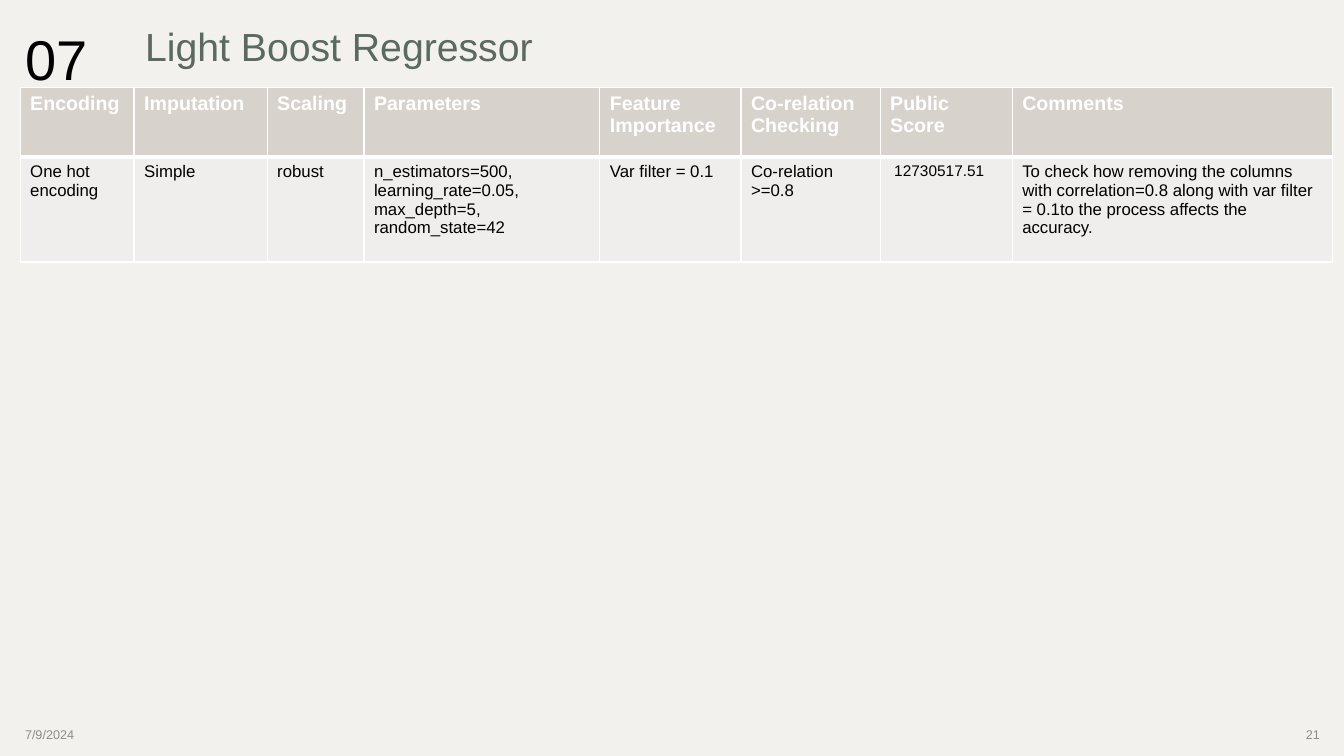
from dataclasses import dataclass

from lxml import etree
from pptx import Presentation
from pptx import util as u
from pptx.dml.color import RGBColor
from pptx.enum import text
from pptx.oxml.ns import qn


@dataclass(frozen=True)
class Theme:
    font: str = "Arial"
    background: str = "F2F1EE"
    title: str = "5B6A5E"
    ink: str = "000000"
    muted: str = "8C8C8C"
    white: str = "FFFFFF"
    header_fill: str = "D8D2CD"
    body_fill: str = "F0EEED"
    number_size: float = 40
    title_size: float = 28
    header_size: float = 14
    body_size: float = 12
    score_size: float = 11
    footer_size: float = 9


class SlideBuilder:
    def __init__(self, presentation, theme):
        self.theme = theme
        self.slide = presentation.slides.add_slide(presentation.slide_layouts[6])
        fill = self.slide.background.fill
        fill.solid()
        fill.fore_color.rgb = RGBColor.from_string(theme.background)

    def style(self, paragraph, size, color, bold=False):
        font = paragraph.font
        font.name = self.theme.font
        font.size = u.Pt(size)
        font.bold = bold
        font.color.rgb = RGBColor.from_string(color)

    def text_box(self, box, words, size, color, align=text.PP_ALIGN.LEFT,
                 anchor=text.MSO_ANCHOR.MIDDLE, spacing=1.0, before=0, margin_left=0.1):
        frame = self.slide.shapes.add_textbox(*map(u.Inches, box)).text_frame
        frame.word_wrap = True
        frame.vertical_anchor = anchor
        frame.margin_left = u.Inches(margin_left)
        paragraph = frame.paragraphs[0]
        paragraph.text = words
        paragraph.alignment = align
        paragraph.line_spacing = spacing
        paragraph.space_before = u.Pt(before)
        self.style(paragraph, size, color)

    def borders(self, cell, top, bottom):
        properties = cell._tc.get_or_add_tcPr()
        widths = {"a:lnL": 1, "a:lnR": 1, "a:lnT": top, "a:lnB": bottom}
        for position, (tag, width) in enumerate(widths.items()):
            line = etree.Element(qn(tag), w=str(u.Pt(width)))
            fill = etree.SubElement(line, qn("a:solidFill"))
            etree.SubElement(fill, qn("a:srgbClr"), val=self.theme.white)
            properties.insert(position, line)

    def cell(self, cell, words, size, color, fill, bold, top, bottom):
        cell.text = words
        self.style(cell.text_frame.paragraphs[0], size, color, bold)
        cell.fill.solid()
        cell.fill.fore_color.rgb = RGBColor.from_string(fill)
        self.borders(cell, top, bottom)

    def table(self, left, top, widths, heights, header, body):
        theme = self.theme
        box = (left, top, sum(widths), sum(heights))
        table = self.slide.shapes.add_table(2, len(widths), *map(u.Inches, box)).table
        for row, height in zip(table.rows, heights):
            row.height = u.Inches(height)
        for index, width in enumerate(widths):
            table.columns[index].width = u.Inches(width)
            self.cell(table.cell(0, index), header[index], theme.header_size,
                      theme.white, theme.header_fill, True, 1, 3)
            self.cell(table.cell(1, index), body[index], theme.body_size,
                      theme.ink, theme.body_fill, False, 3, 1)
        return table


def main():
    presentation = Presentation()
    presentation.slide_width = u.Inches(13.33)
    presentation.slide_height = u.Inches(7.5)
    theme = Theme()
    builder = SlideBuilder(presentation, theme)

    builder.text_box((0.15, 7.09, 3, 0.4), "7/9/2024", theme.footer_size, theme.muted)
    builder.text_box((10.19, 7.09, 3, 0.4), "21", theme.footer_size, theme.muted,
                     align=text.PP_ALIGN.RIGHT)
    builder.text_box((-0.63, 0.12, 7.67, 0.72), "Light Boost Regressor", theme.title_size,
                     theme.title, align=text.PP_ALIGN.CENTER, spacing=0.9, margin_left=0.41)
    builder.text_box((0.15, -0.14, 1.02, 0.91), "07", theme.number_size, theme.ink,
                     anchor=text.MSO_ANCHOR.TOP, spacing=1.5, before=10)

    columns = [
        ("Encoding", 1.13, "One hot encoding"),
        ("Imputation", 1.32, "Simple"),
        ("Scaling", 0.96, "robust"),
        ("Parameters", 2.34,
         "n_estimators=500, learning_rate=0.05, max_depth=5, random_state=42"),
        ("Feature Importance", 1.4, "Var filter = 0.1"),
        ("Co-relation Checking", 1.38, "Co-relation >=0.8"),
        ("Public Score", 1.31, "12730517.51"),
        ("Comments", 3.18,
         "To check how removing the columns with correlation=0.8 along with "
         "var filter = 0.1to the process affects the accuracy."),
    ]
    header, widths, body = zip(*columns)
    table = builder.table(0.2, 0.87, widths, (0.69, 1.04), header, body)
    score = table.cell(1, header.index("Public Score"))
    score.margin_left = u.Inches(0.14)
    score.text_frame.paragraphs[0].font.size = u.Pt(theme.score_size)

    presentation.save("out.pptx")


if __name__ == "__main__":
    main()
